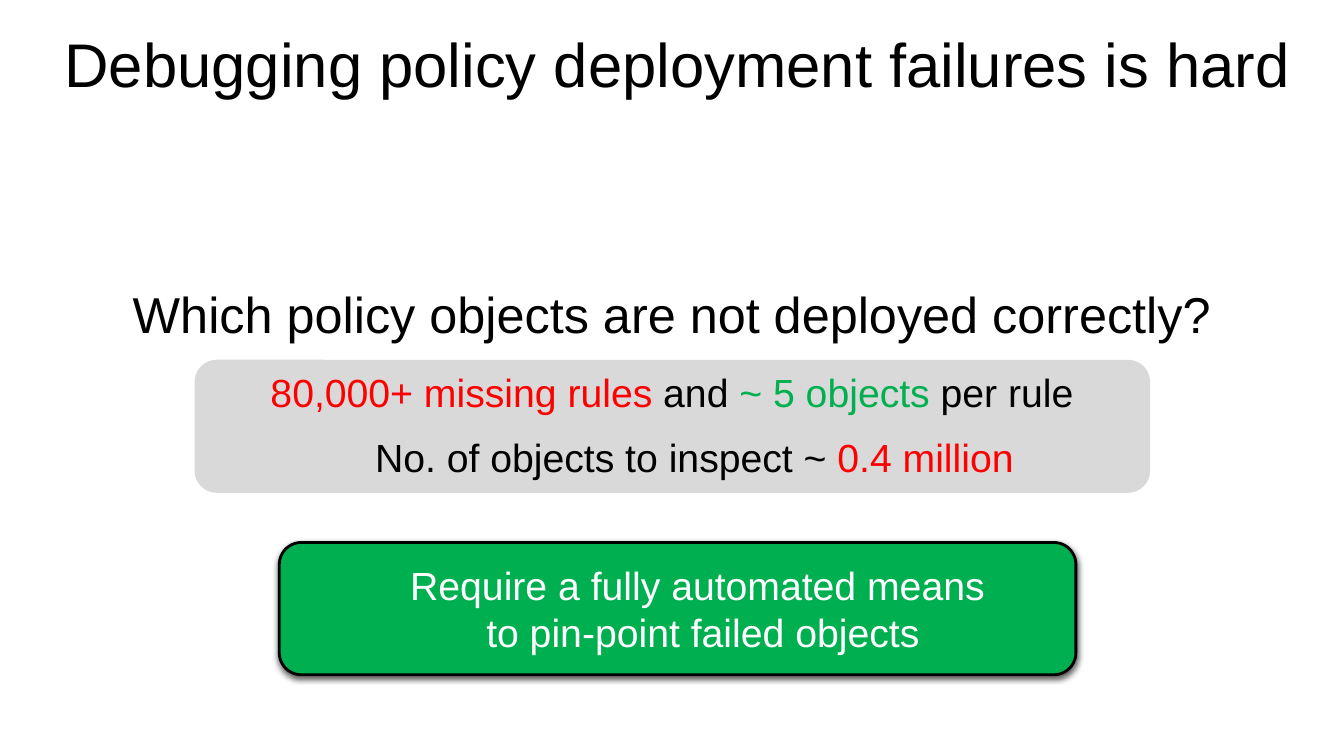
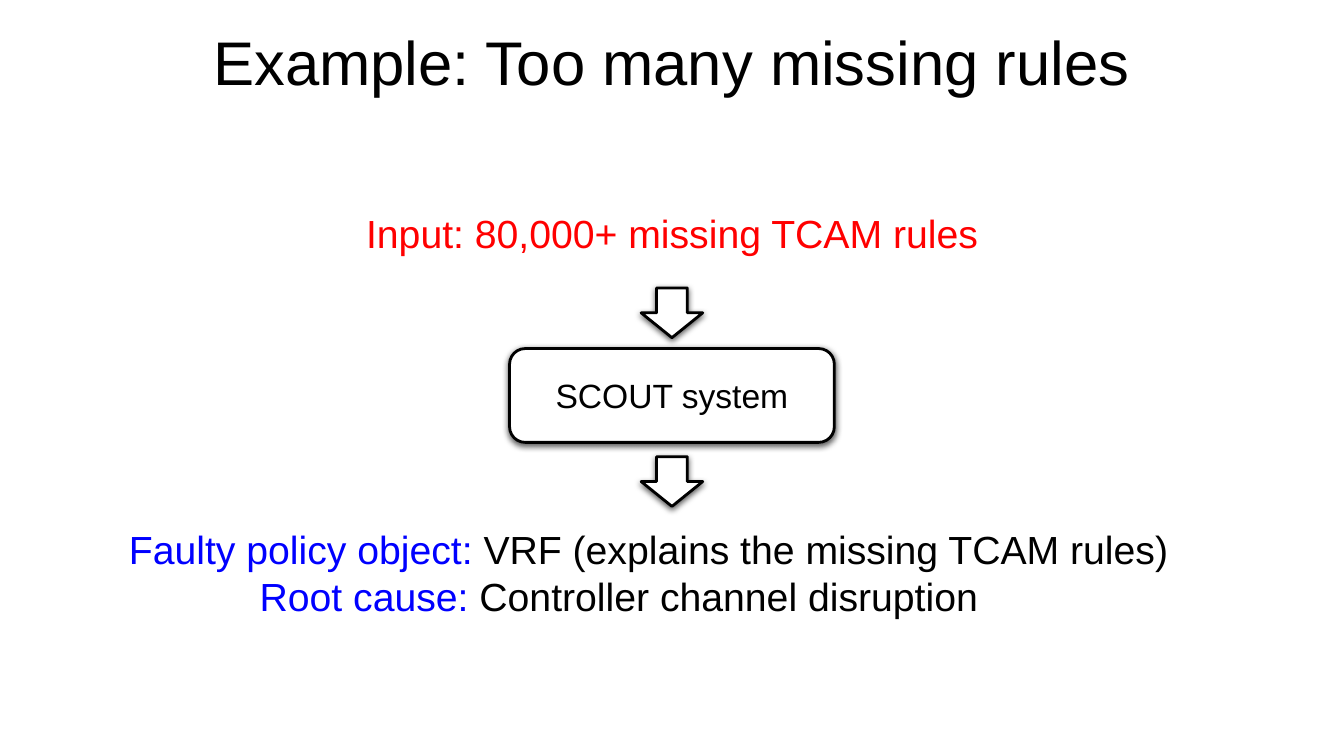
import pptx
import pptx.dml.color
import pptx.enum.shapes
import pptx.enum.text
import pptx.oxml
import pptx.oxml.ns
import pptx.util

Pt = pptx.util.Pt
RGBColor = pptx.dml.color.RGBColor
SHAPE = pptx.enum.shapes.MSO_SHAPE
ALIGN = pptx.enum.text.PP_ALIGN
ANCHOR = pptx.enum.text.MSO_ANCHOR

BLACK = RGBColor(0x00, 0x00, 0x00)
WHITE = RGBColor(0xFF, 0xFF, 0xFF)
RED = RGBColor(0xFF, 0x00, 0x00)
GREEN = RGBColor(0x00, 0xB0, 0x50)
BLUE = RGBColor(0x00, 0x00, 0xFF)
GREY = RGBColor(0xD9, 0xD9, 0xD9)

SLIDE_WIDTH, SLIDE_HEIGHT = 960, 540
CENTER = SLIDE_WIDTH / 2

SHADOW = (
    f'<a:outerShdw {pptx.oxml.ns.nsdecls("a")} blurRad="{Pt(4.5)}" dist="{Pt(1.5)}" '
    'dir="5400000" algn="ctr" rotWithShape="0">'
    '<a:srgbClr val="000000"><a:alpha val="63000"/></a:srgbClr></a:outerShdw>'
)


class Deck:
    """Holds the shared style and the slide being built."""

    font = "Arial"
    title_size = 44
    body_size = 28
    outline_width = 2

    def __init__(self):
        self.presentation = pptx.Presentation()
        self.presentation.slide_width = Pt(SLIDE_WIDTH)
        self.presentation.slide_height = Pt(SLIDE_HEIGHT)
        self.slide = None

    def start_slide(self, title, box):
        blank = self.presentation.slide_layouts[6]
        self.slide = self.presentation.slides.add_slide(blank)
        self.text(box, [[(title, BLACK)]], size=self.title_size, spacing=0.9)

    def fill_text(self, shape, lines, size=body_size, align=ALIGN.CENTER,
                  anchor=ANCHOR.MIDDLE, spacing=None, indents=None):
        """Fill a shape with lines, each a list of (words, colour) runs."""
        frame = shape.text_frame
        frame.word_wrap = True
        frame.vertical_anchor = anchor
        for number, runs in enumerate(lines):
            paragraph = frame.paragraphs[0] if number == 0 else frame.add_paragraph()
            if indents:
                properties = paragraph._p.get_or_add_pPr()
                properties.set("marL", str(Pt(indents[number])))
                properties.set("indent", "0")
            paragraph.alignment = align
            paragraph.line_spacing = spacing
            for words, color in runs:
                run = paragraph.add_run()
                run.text = words
                style = {"name": self.font, "size": Pt(size)}
                for attribute, value in style.items():
                    setattr(run.font, attribute, value)
                run.font.color.rgb = color

    def text(self, box, lines, **style):
        self.fill_text(self.slide.shapes.add_textbox(*map(Pt, box)), lines, **style)

    def panel(self, kind, box, fill):
        """Add a flat filled shape without an outline."""
        shape = self.slide.shapes.add_shape(kind, *map(Pt, box))
        shape.shadow.inherit = False
        shape.fill.solid()
        shape.fill.fore_color.rgb = fill
        shape.line.fill.background()
        return shape

    def raised(self, kind, box, fill):
        """Add an outlined shape with a soft shadow below it."""
        shape = self.panel(kind, box, fill)
        shape.line.color.rgb = BLACK
        shape.line.width = Pt(self.outline_width)
        effects = shape._element.spPr.find(pptx.oxml.ns.qn("a:effectLst"))
        effects.append(pptx.oxml.parse_xml(SHADOW))
        return shape

    def down_arrow(self, top):
        width, height = 44, 35.5
        self.raised(SHAPE.DOWN_ARROW, (CENTER - width / 2, top, width, height), WHITE)


def add_debugging_slide(deck):
    deck.start_slide("Debugging policy deployment failures is hard", (32.4, 12, 903.6, 72))
    deck.text((80, 199, 800, 51),
              [[("Which policy objects are not deployed correctly?", BLACK)]],
              size=36, anchor=ANCHOR.TOP)

    conclusion = deck.raised(SHAPE.ROUNDED_RECTANGLE, (199.5, 387.5, 569, 94.5), GREEN)
    deck.fill_text(conclusion, [[("Require a fully automated means ", WHITE)],
                                [("to pin-point failed objects", WHITE)]], indents=(36, 36))

    deck.panel(SHAPE.ROUNDED_RECTANGLE, (139, 257, 682.5, 95), GREY)
    deck.text((150.5, 262, 659, 36), [[
        ("80,000+ missing rules ", RED), ("and ", BLACK),
        ("~ 5 objects ", GREEN), ("per rule", BLACK),
    ]])
    deck.text((258, 308, 476, 36),
              [[("No. of objects to inspect ~ ", BLACK), ("0.4 million", RED)]])


def add_example_slide(deck):
    deck.start_slide("Example: Too many missing rules", (66, 14, 828, 66))
    deck.text((206, 127.5, 548, 77), [[("Input: 80,000+ missing TCAM rules", RED)]])

    deck.down_arrow(205.75)
    system = deck.raised(SHAPE.FLOWCHART_ALTERNATE_PROCESS, (364, 249, 232, 67), WHITE)
    deck.fill_text(system, [[("SCOUT system", BLACK)]], size=24)
    deck.down_arrow(326.25)

    deck.text((85, 372, 773, 75), [
        [("Faulty policy object:", BLUE), (" VRF (explains the missing TCAM rules)", BLACK)],
        [("Root cause: ", BLUE), ("Controller channel disruption", BLACK)],
    ], align=ALIGN.LEFT, anchor=ANCHOR.TOP, indents=(0, 93.4))


def main():
    deck = Deck()
    add_debugging_slide(deck)
    add_example_slide(deck)
    deck.presentation.save("out.pptx")


if __name__ == "__main__":
    main()
